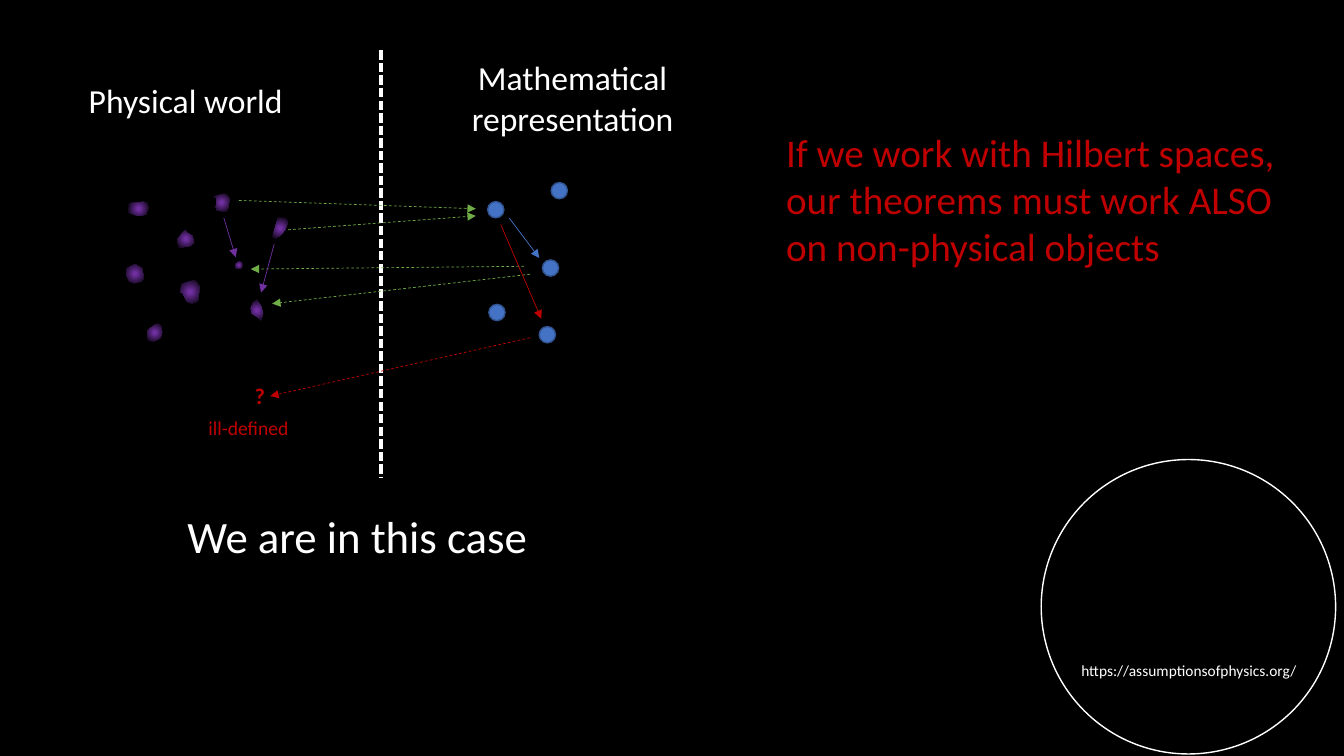
from lxml.etree import SubElement as Sub
from pptx import Presentation
from pptx.dml.color import RGBColor as Rgb
from pptx.enum.dml import MSO_LINE as Dash
from pptx.enum.shapes import MSO_CONNECTOR as Link, MSO_SHAPE as Shape
from pptx.enum.text import MSO_AUTO_SIZE as Auto, PP_ALIGN as Align
from pptx.oxml import parse_xml
from pptx.oxml.ns import nsdecls, qn
from pptx.util import Cm, Pt

HUES = {
    "black": "000000", "white": "FFFFFF", "red": "C00000",
    "green": "70AD47", "blue": "4472C4", "navy": "325491",
    "purple": "7030A0", "plum": "3C1A56",
}
GLOW = [(12, "purple"), (56, "plum"), (100, "black")]
DOT = 0.41

DOTS = [(13.67, 6.55), (12.29, 5.08), (12.32, 7.67), (13.89, 4.6), (13.59, 8.23)]

ARROWS = [
    (12.83, 5.49, 13.59, 6.5, "blue", None),
    (7.26, 5.79, 11.99, 5.44, "green", Dash.DASH),
    (6.02, 5.05, 11.99, 5.26, "green", Dash.DASH),
    (13.36, 6.91, 6.86, 7.65, "green", Dash.DASH),
    (13.21, 6.71, 6.32, 6.78, "green", Dash.DASH),
    (6.91, 6.15, 6.58, 7.37, "purple", None),
    (5.64, 5.49, 5.94, 6.48, "purple", None),
    (13.36, 8.51, 6.81, 9.98, "red", Dash.DASH),
    (12.62, 5.66, 13.64, 8.03, "red", None),
]

BLOBS = [
    [(335, 668), (318, 676), (319, 695), (325, 709), (338, 714), (358, 709),
     (363, 701), (358, 676), (353, 673), (340, 665)],
    [(538, 495), (559, 490), (566, 488), (572, 490), (579, 500), (574, 531),
     (569, 533), (546, 531), (544, 523), (546, 500)],
    [(467, 579), (447, 602), (450, 625), (480, 620), (490, 612), (485, 594),
     (472, 587)],
    [(455, 737), (457, 716), (462, 714), (472, 711), (480, 709), (488, 706),
     (495, 709), (503, 721), (500, 757), (495, 762), (483, 765), (475, 762),
     (470, 759), (460, 739)],
    [(399, 815), (391, 818), (373, 831), (371, 838), (373, 859), (386, 861),
     (404, 853), (409, 838), (406, 820)],
    [(605, 658), (594, 665), (592, 676), (605, 678), (610, 676), (612, 665)],
    [(648, 754), (638, 762), (632, 777), (635, 790), (650, 800), (658, 810),
     (663, 790), (658, 772), (655, 767)],
    [(686, 599), (699, 554), (699, 549), (711, 549), (721, 549), (726, 559),
     (719, 579), (706, 594), (701, 597), (696, 602)],
    [(361, 508), (351, 511), (330, 511), (325, 513), (325, 526), (323, 536),
     (348, 544), (368, 541), (376, 523), (371, 511)],
]


def hue(name):
    return Rgb.from_string(HUES[name])


def add_text(slide, box, text, size, tint="white", align=None, bold=None, wrap=False):
    frame = slide.shapes.add_textbox(*map(Cm, box)).text_frame
    frame.word_wrap = wrap
    frame.auto_size = Auto.SHAPE_TO_FIT_TEXT
    frame.text = text
    para = frame.paragraphs[0]
    para.alignment = align
    font = para.font
    font.name, font.size, font.bold = "Calibri", Pt(size), bold
    font.color.rgb = hue(tint)


def add_ring(slide, left, top, size, edge, fill=None):
    ring = slide.shapes.add_shape(Shape.OVAL, Cm(left), Cm(top), Cm(size), Cm(size))
    ring.shadow.inherit = False
    if fill:
        ring.fill.solid()
        ring.fill.fore_color.rgb = hue(fill)
    else:
        ring.fill.background()
    ring.line.color.rgb = hue(edge)
    ring.line.width = Pt(1)


def add_line(slide, x1, y1, x2, y2, tint, dash=None, width=0.5, head=True):
    link = slide.shapes.add_connector(Link.STRAIGHT, Cm(x1), Cm(y1), Cm(x2), Cm(y2))
    line = link.line
    line.color.rgb = hue(tint)
    line.width = Pt(width)
    if dash:
        line.dash_style = dash
    if head:
        Sub(line._get_or_add_ln(), qn("a:tailEnd"), type="triangle")
    Sub(link._element.spPr, qn("a:effectLst"))


def add_blob(slide, points):
    pen = slide.shapes.build_freeform(*points[0], scale=Cm(0.01))
    pen.add_line_segments(points[1:])
    blob = pen.convert_to_shape()
    blob.shadow.inherit = False
    blob.line.fill.background()
    blob.fill.background()
    stops = "".join(
        f'<a:gs pos="{at * 1000}"><a:srgbClr val="{HUES[name]}"/></a:gs>'
        for at, name in GLOW)
    grad = parse_xml(
        f'<a:gradFill {nsdecls("a")}><a:gsLst>{stops}</a:gsLst>'
        '<a:path path="circle"><a:fillToRect l="50000" t="50000" r="50000" b="50000"/>'
        '</a:path></a:gradFill>')
    props = blob._element.spPr
    props.replace(props.find(qn("a:noFill")), grad)


def main():
    deck = Presentation()
    deck.slide_width, deck.slide_height = Cm(33.87), Cm(19.05)
    slide = deck.slides.add_slide(deck.slide_layouts[6])
    back = slide.background.fill
    back.solid()
    back.fore_color.rgb = hue("black")

    add_ring(slide, 26.24, 11.58, 7.42, "white")
    add_text(slide, (27, 16.54, 5.97, 0.74), "https://assumptionsofphysics.org/", 11)
    add_text(slide, (1.96, 1.9, 5.44, 1.27), "Physical world", 24, align=Align.CENTER)
    add_text(slide, (11.61, 1.32, 5.64, 2.31), "Mathematical\vrepresentation", 24,
             align=Align.CENTER)
    add_line(slide, 9.6, 1.27, 9.6, 12.04, "white", Dash.SQUARE_DOT, 2.25, False)

    for points in BLOBS:
        add_blob(slide, points)
    for left, top in DOTS:
        add_ring(slide, left, top, DOT, "navy", "blue")
    for arrow in ARROWS:
        add_line(slide, *arrow)

    add_text(slide, (6.17, 9.5, 0.79, 0.94), "?", 16, "red", bold=True)
    add_text(slide, (5, 10.36, 2.57, 0.86), "ill-defined", 14, "red")
    add_text(slide, (4.47, 12.7, 9.17, 1.63), "We are in this case", 32)
    add_text(slide, (19.56, 3.1, 13.89, 3.84),
             "If we work with Hilbert spaces, our theorems must work ALSO "
             "on non-physical objects", 28, "red", wrap=True)
    deck.save("out.pptx")


if __name__ == "__main__":
    main()
